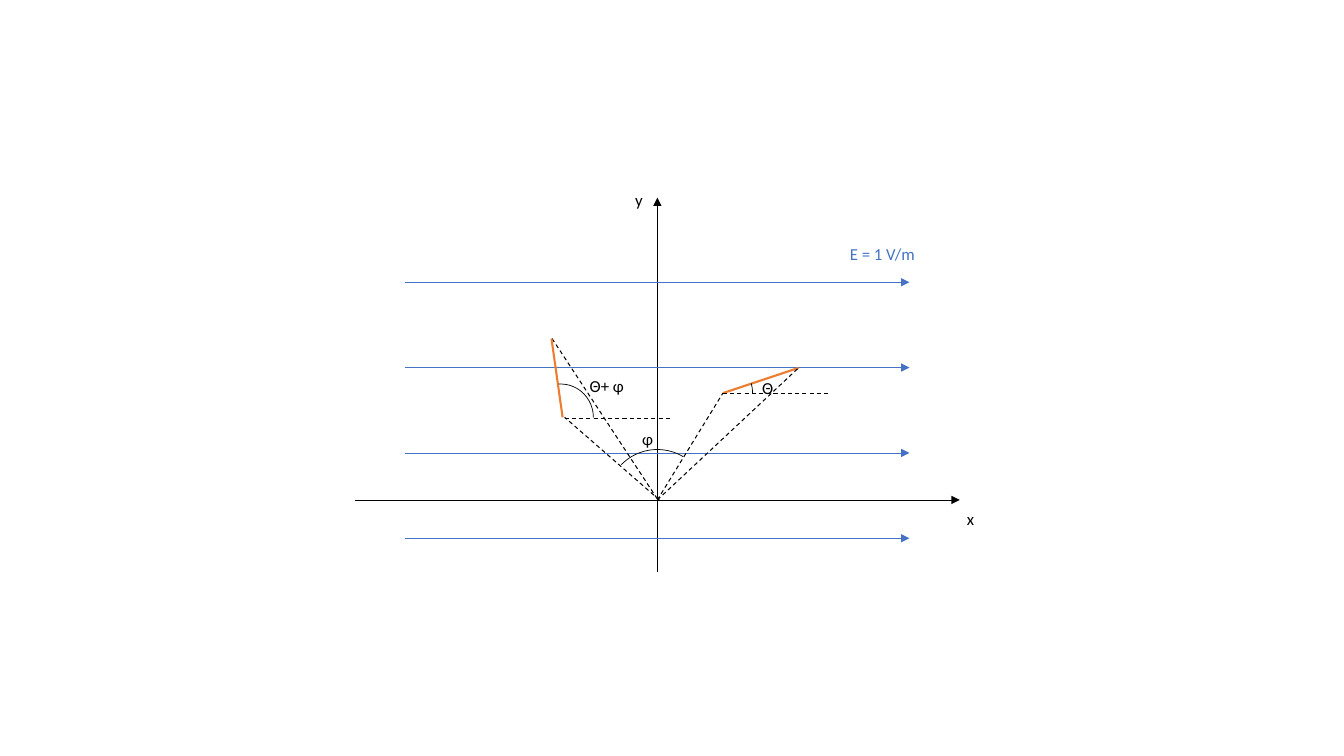
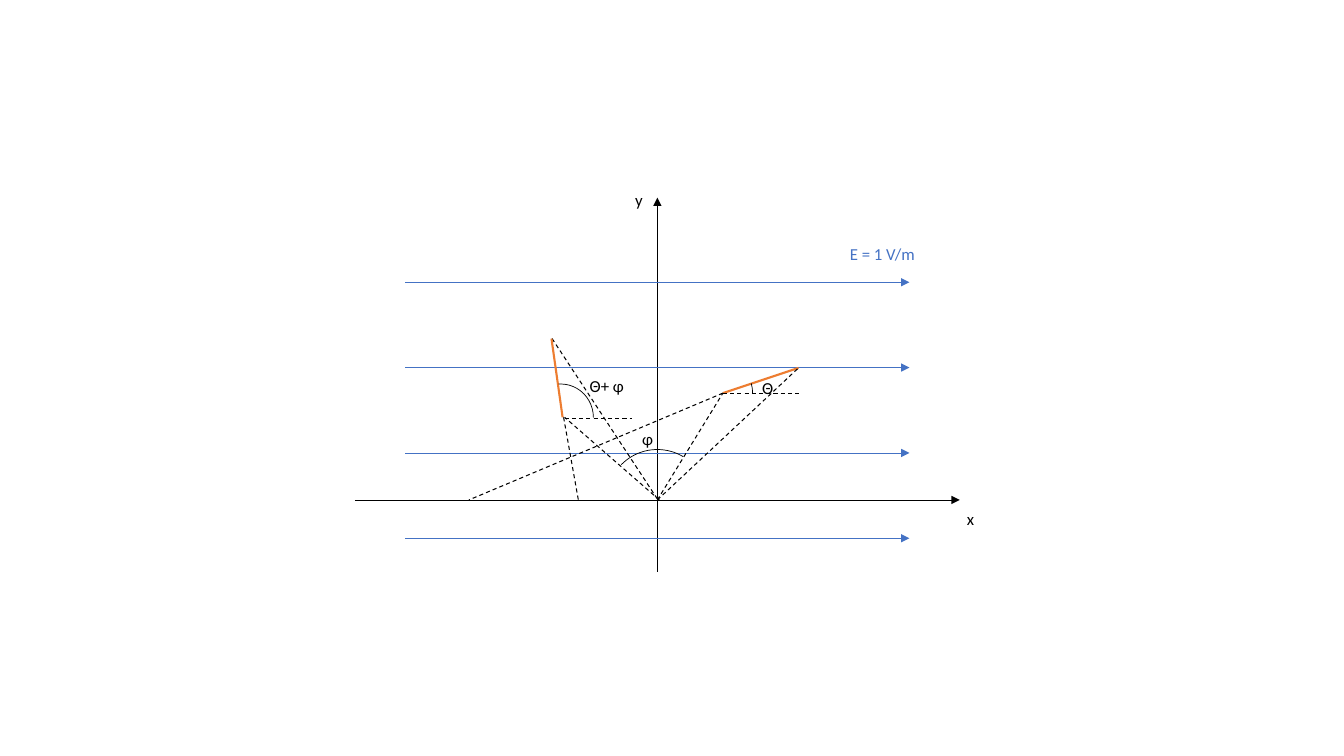
from dataclasses import dataclass

import lxml.etree
import pptx
import pptx.dml.color
import pptx.enum.dml
import pptx.enum.shapes
import pptx.enum.text
import pptx.oxml.ns
import pptx.presentation
import pptx.shapes.connector
import pptx.slide
import pptx.util

Inches = pptx.util.Inches
Point = tuple[float, float]


@dataclass(frozen=True)
class Theme:
    ink: str = "000000"
    field: str = "4472C4"
    rod: str = "ED7D31"
    font: str = "Calibri"
    size: float = 12
    thin: float = 0.5
    fine: float = 0.75
    bold: float = 1.5


THEME = Theme()


@dataclass(frozen=True)
class Line:
    start: Point
    end: Point
    color: str = THEME.ink
    width: float = THEME.thin
    dashed: bool = False
    arrow: bool = False


@dataclass(frozen=True)
class Arc:
    """Part of an ellipse, clockwise from start to end in degrees."""
    mid: Point
    size: Point
    start: float
    end: float


@dataclass(frozen=True)
class Label:
    text: str
    left: float
    top: float
    width: float = 0.32
    color: str = THEME.ink


def ray(start: Point, end: Point) -> Line:
    """Dashed guide line."""
    return Line(start, end, width=THEME.fine, dashed=True)


def rod(start: Point, end: Point) -> Line:
    return Line(start, end, THEME.rod, THEME.bold)


ORIGIN = (6.52, 4.96)
RIGHT = (7.17, 3.9)
RIGHT_TIP = (7.92, 3.65)
LEFT = (5.58, 4.14)
LEFT_TIP = (5.47, 3.36)
LEFT_BASE = (5.6, 4.15)
FIELD_TOP, FIELD_GAP = 2.8, 2.54 / 3

AXES = [
    Line((3.52, 4.96), (9.52, 4.96), arrow=True),
    Line((6.52, 5.67), (6.52, 1.96), arrow=True),
]
FIELD = [
    Line((4.02, y), (9.02, y), THEME.field, arrow=True)
    for y in (FIELD_TOP + row * FIELD_GAP for row in range(4))
]
RODS = [
    rod(RIGHT, RIGHT_TIP),
    ray(ORIGIN, RIGHT),
    ray(ORIGIN, RIGHT_TIP),
    ray((6.54, 4.96), (5.6, 4.14)),
    ray((6.52, 4.95), (5.47, 3.35)),
    rod(LEFT, LEFT_TIP),
]
ARCS = [
    Arc(ORIGIN, (1, 1), 224.4, 300.8),
    Arc((7.14, 3.9), (0.65, 0.66), 342.7, 0.5),
    Arc((5.56, 4.14), (0.65, 0.66), 266.7, 0.5),
]
LABELS = [
    Label("x", 9.49, 5),
    Label("y", 6.2, 1.83),
    Label("φ", 6.27, 4.2),
    Label("Θ+ φ", 5.75, 3.68, 0.68),
    Label("Θ", 7.46, 3.7),
    Label("E = 1 V/m", 8.33, 2.37, 1.08, THEME.field),
]
LONG_BASES = [ray(RIGHT, (8.22, 3.9)), ray(LEFT_BASE, (6.65, 4.15))]
SHORT_BASES = [ray(RIGHT, (7.92, 3.9)), ray(LEFT_BASE, (6.27, 4.15))]
TO_AXIS = [ray((5.59, 4.14), (5.74, 4.98)), ray(RIGHT, (4.65, 4.96))]


def rgb(code: str) -> pptx.dml.color.RGBColor:
    return pptx.dml.color.RGBColor.from_string(code)


def draw_line(slide: pptx.slide.Slide, line: Line) -> None:
    ends = [Inches(value) for value in (*line.start, *line.end)]
    shape = slide.shapes.add_connector(
        pptx.enum.shapes.MSO_CONNECTOR.STRAIGHT, *ends)
    shape.line.color.rgb = rgb(line.color)
    shape.line.width = pptx.util.Pt(line.width)
    if line.dashed:
        shape.line.dash_style = pptx.enum.dml.MSO_LINE.DASH
    qn = pptx.oxml.ns.qn
    if line.arrow:
        lxml.etree.SubElement(
            shape.get_or_add_ln(), qn("a:tailEnd"), type="triangle")
    lxml.etree.SubElement(shape._element.spPr, qn("a:effectLst"))


def draw_arc(slide: pptx.slide.Slide, arc: Arc) -> None:
    (x, y), (width, height) = arc.mid, arc.size
    shape = slide.shapes.add_shape(
        pptx.enum.shapes.MSO_SHAPE.ARC,
        Inches(x - width / 2), Inches(y - height / 2),
        Inches(width), Inches(height))
    # An adjustment of 0.6 is one degree.
    shape.adjustments[0] = arc.start * 0.6
    shape.adjustments[1] = arc.end * 0.6
    shape.shadow.inherit = False
    shape.fill.background()
    shape.line.color.rgb = rgb(THEME.ink)
    shape.line.width = pptx.util.Pt(THEME.thin)


def draw_label(slide: pptx.slide.Slide, label: Label) -> None:
    box = slide.shapes.add_textbox(
        Inches(label.left), Inches(label.top),
        Inches(label.width), Inches(0.3))
    frame = box.text_frame
    frame.word_wrap = True
    frame.auto_size = pptx.enum.text.MSO_AUTO_SIZE.SHAPE_TO_FIT_TEXT
    frame.text = label.text
    font = frame.paragraphs[0].runs[0].font
    font.name = THEME.font
    font.size = pptx.util.Pt(THEME.size)
    font.color.rgb = rgb(label.color)


def add_slide(deck: pptx.presentation.Presentation,
              guides: list[Line]) -> None:
    """Add the shared diagram with this slide's own guide lines."""
    slide = deck.slides.add_slide(deck.slide_layouts[6])
    for line in AXES + FIELD + RODS + guides:
        draw_line(slide, line)
    for arc in ARCS:
        draw_arc(slide, arc)
    for label in LABELS:
        draw_label(slide, label)


def main() -> None:
    deck = pptx.Presentation()
    deck.slide_width = Inches(13.33)
    deck.slide_height = Inches(7.5)
    add_slide(deck, LONG_BASES)
    add_slide(deck, SHORT_BASES + TO_AXIS)
    deck.save("out.pptx")


if __name__ == "__main__":
    main()
